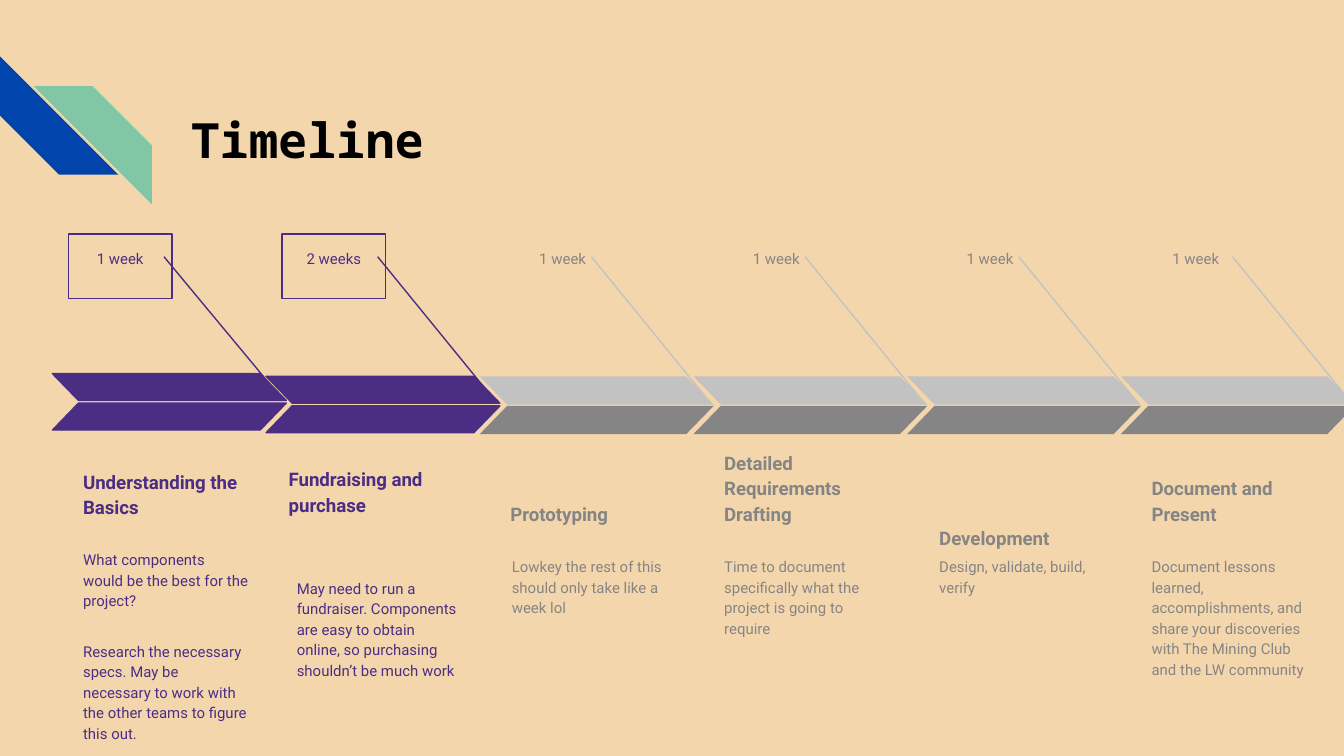
"""Build a six-step project timeline slide."""
from pptx import Presentation
from pptx.dml.color import RGBColor
from pptx.enum.shapes import MSO_CONNECTOR, MSO_SHAPE
from pptx.enum.text import MSO_ANCHOR, MSO_AUTO_SIZE, PP_ALIGN
from pptx.oxml.ns import qn
from pptx.util import Inches, Pt
from lxml import etree

STRIPE, BAND, RECTANGLE = MSO_SHAPE.DIAGONAL_STRIPE, MSO_SHAPE.PARALLELOGRAM, MSO_SHAPE.RECTANGLE
STRAIGHT = MSO_CONNECTOR.STRAIGHT
TOP, MIDDLE, BOTTOM = MSO_ANCHOR.TOP, MSO_ANCHOR.MIDDLE, MSO_ANCHOR.BOTTOM
LEFT, CENTER, RIGHT = PP_ALIGN.LEFT, PP_ALIGN.CENTER, PP_ALIGN.RIGHT
NO_FIT = MSO_AUTO_SIZE.NONE
PURPLE, LIGHT, GRAY = "4B2E83", "C2C2C2", "858585"


def color(value):
    return RGBColor.from_string(value)


def write(box, *texts, size=8, font="Roboto", ink=GRAY, bold=False, align=LEFT,
          anchor=TOP, spacing=1.15, after=0, gap=0):
    frame = box.text_frame
    frame.word_wrap = True
    frame.auto_size = NO_FIT
    frame.vertical_anchor = anchor
    frame.margin_left = frame.margin_right = Inches(0.1)
    frame.margin_top = frame.margin_bottom = Inches(0.1)
    for number, text in enumerate(texts):
        para = frame.add_paragraph() if number else frame.paragraphs[0]
        para.alignment = align
        para.line_spacing = spacing
        para.space_before = Pt(gap if number else 0)
        para.space_after = Pt(after if number == len(texts) - 1 else 0)
        span = para.add_run()
        span.text = text
        span.font.size = Pt(size)
        span.font.name = font
        span.font.bold = bold
        span.font.color.rgb = color(ink)


deck = Presentation()
deck.slide_width, deck.slide_height = Inches(10), Inches(10 * 9 / 16)
page = deck.slides.add_slide(deck.slide_layouts[5])
page.background.fill.solid()
page.background.fill.fore_color.rgb = color("F4D6AD")

title = page.shapes.title
title.left, title.top, title.width, title.height = map(Inches, (1.32, 0.74, 9.43, 0.59))
write(title, "Timeline", size=26, font="Noto Sans Mono", ink="000000", bold=True,
      anchor=MIDDLE, spacing=1.0)

for left, top, fill, turn, flipped in [
    (0, 0.42, "0145AC", 270, False),
    (0.25, 0.64, "82C7A5", 0, True),
]:
    stripe = page.shapes.add_shape(STRIPE, *map(Inches, (left, top, 0.88, 0.88)))
    stripe.shadow.inherit = False
    stripe.adjustments[0] = 0.5
    stripe.rotation = turn
    stripe.fill.solid()
    stripe.fill.fore_color.rgb = color(fill)
    stripe.line.fill.background()
    if flipped:
        stripe.element.spPr.find(qn("a:xfrm")).set("flipH", "1")

steps = [
    ("1 week", (0.51, 0.77), "Understanding the Basics", (0.52, 3.33, 1.43, 0.63),
     ["What components would be the best for the project?",
      "Research the necessary specs. May be necessary to work with the other teams "
      "to figure this out."], (0.52, 3.98, 1.43, 1.29)),
    ("2 weeks", (2.1, 0.77), "Fundraising and purchase", (2.05, 3.26, 1.6, 0.68),
     ["May need to run a fundraiser. Components are easy to obtain online, so "
      "purchasing shouldn’t be much work"], (2.11, 4.19, 1.42, 1.07)),
    ("1 week", (3.69, 0.77), "Prototyping", (3.7, 3.36, 1.43, 0.65),
     ["Lowkey the rest of this should only take like a week lol"],
     (3.71, 4.03, 1.43, 1.07)),
    ("1 week", (5.28, 0.77), "Detailed Requirements Drafting", (5.29, 3.36, 1.43, 0.65),
     ["Time to document specifically what the project is going to require"],
     (5.29, 4.03, 1.43, 1.07)),
    ("1 week", (6.76, 0.88), "Development", (6.89, 3.36, 1.43, 0.83),
     ["Design, validate, build, verify"], (6.89, 4.03, 1.43, 1.07)),
    ("1 week", (8.29, 0.88), "Document and Present", (8.47, 3.36, 1.43, 0.65),
     ["Document lessons learned, accomplishments, and share your discoveries with "
      "The Mining Club and the LW community"], (8.47, 4.03, 1.43, 1.07)),
]

for index, (duration, (label_left, label_width), heading, heading_place,
            details, details_place) in enumerate(steps):
    left = 0.39 + 1.59 * index
    active = index < 2
    ink = PURPLE if active else GRAY
    accent = PURPLE if active else LIGHT
    band_top = 2.8 if index else 2.78
    band_height = 0.2 if active else 0.21

    pointer = page.shapes.add_connector(
        STRAIGHT, *map(Inches, (left + 0.83, 1.91, left + 1.71, band_top + 0.19)))
    pointer.line.color.rgb = color(accent)
    pointer.line.width = Pt(0.75)
    etree.SubElement(pointer.element.spPr, qn("a:effectLst"))

    for top, fill, flipped in [(band_top, accent, True), (band_top + 0.22, ink, False)]:
        band = page.shapes.add_shape(BAND, *map(Inches, (left, top, 1.74, band_height)))
        band.shadow.inherit = False
        band.adjustments[0] = 0.97
        band.fill.solid()
        band.fill.fore_color.rgb = color(fill)
        if active:
            band.line.color.rgb = color(PURPLE)
            band.line.width = Pt(0.75)
        else:
            band.line.fill.background()
        if flipped:
            band.element.spPr.find(qn("a:xfrm")).set("flipH", "1")

    heading_box = page.shapes.add_textbox(*map(Inches, heading_place))
    write(heading_box, heading, size=10, ink=ink, bold=True, anchor=BOTTOM)
    details_box = page.shapes.add_textbox(*map(Inches, details_place))
    write(details_box, *details, ink=ink, after=16, gap=16)

    if active:
        label = page.shapes.add_shape(
            RECTANGLE, *map(Inches, (label_left, 1.74, label_width, 0.48)))
        label.shadow.inherit = False
        label.fill.background()
        label.line.color.rgb = color(PURPLE)
        label.line.width = Pt(0.75)
    else:
        label = page.shapes.add_textbox(*map(Inches, (label_left, 1.74, label_width, 0.35)))
    write(label, duration, ink=ink, align=CENTER if active else RIGHT, after=16)

deck.save("out.pptx")
